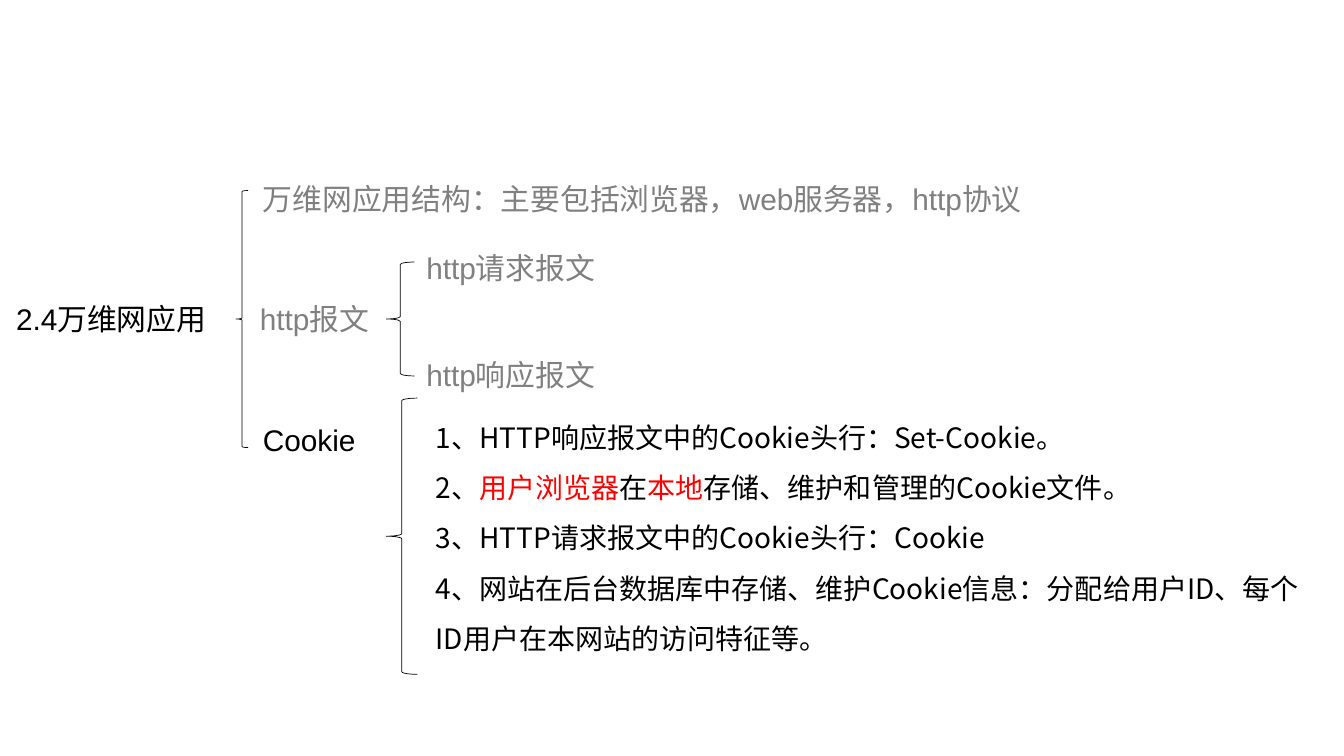
from dataclasses import dataclass

from lxml import etree
from pptx import Presentation
from pptx.dml.color import RGBColor
from pptx.enum.lang import MSO_LANGUAGE_ID
from pptx.enum.shapes import MSO_SHAPE
from pptx.enum.text import MSO_ANCHOR, MSO_AUTO_SIZE, PP_ALIGN
from pptx.oxml.ns import qn
from pptx.util import Inches, Pt

LEFT_BRACE = MSO_SHAPE.LEFT_BRACE
TOP = MSO_ANCHOR.TOP
LEFT = PP_ALIGN.LEFT
NO_AUTOFIT = MSO_AUTO_SIZE.NONE
CHINESE = MSO_LANGUAGE_ID.SIMPLIFIED_CHINESE


@dataclass(frozen=True)
class Theme:
    black: RGBColor = RGBColor(0, 0, 0)
    gray: RGBColor = RGBColor(0x80, 0x80, 0x80)
    red: RGBColor = RGBColor(0xFF, 0, 0)
    label_font: str = "Arial"
    list_font: str = "Noto Sans CJK SC"
    label_size: float = 21.3
    list_size: float = 20
    line_width: float = 0.5


class Outline:
    """Draws the parts of a bracketed outline on one slide."""

    def __init__(self, slide, theme):
        self.s = slide
        self.theme = theme

    def place(self, sp, box):
        names = ("left", "top", "width", "height")
        for name, value in zip(names, box):
            setattr(sp, name, Inches(value))
        frame = {"word_wrap": True, "auto_size": NO_AUTOFIT,
                 "vertical_anchor": TOP}
        for name, value in frame.items():
            setattr(sp.text_frame, name, value)

    def fill_paragraph(self, p, runs, font, size, **spacing):
        """Fill a paragraph with (text, colour) runs."""
        layout = {"alignment": LEFT, "space_before": Pt(0), **spacing}
        for name, value in layout.items():
            setattr(p, name, value)
        style = {"name": font, "size": Pt(size), "language_id": CHINESE}
        for text, color in runs:
            r = p.add_run()
            r.text = text
            for name, value in style.items():
                setattr(r.font, name, value)
            r.font.color.rgb = color

    def label(self, sp, box, lines, color, gap=0):
        """Set label lines; gap is the space in points between them."""
        self.place(sp, box)
        tf = sp.text_frame
        for i, line in enumerate(lines):
            p = tf.add_paragraph() if i else tf.paragraphs[0]
            self.fill_paragraph(p, [(line, color)], self.theme.label_font,
                                self.theme.label_size,
                                space_before=Pt(gap if i else 0))

    def title(self, box, text):
        self.label(self.s.shapes.title, box, [text], self.theme.black)

    def text(self, box, lines, color, gap=0):
        sp = self.s.shapes.add_textbox(0, 0, 0, 0)
        self.label(sp, box, lines, color, gap)

    def numbered_list(self, box, items):
        sp = self.s.placeholders[1]
        self.place(sp, box)
        tf = sp.text_frame
        for i, runs in enumerate(items):
            p = tf.add_paragraph() if i else tf.paragraphs[0]
            self.fill_paragraph(p, runs, self.theme.list_font,
                                self.theme.list_size, line_spacing=1.5)
            pPr = p._p.get_or_add_pPr()
            pPr.set("marL", "0")
            pPr.set("indent", "0")
            etree.SubElement(pPr, qn("a:buNone"))

    def brace(self, box):
        sp = self.s.shapes.add_shape(LEFT_BRACE, *map(Inches, box))
        sp.shadow.inherit = False
        sp.fill.background()
        sp.line.color.rgb = self.theme.black
        sp.line.width = Pt(self.theme.line_width)


def main():
    prs = Presentation()
    prs.slide_width, prs.slide_height = Inches(13.33), Inches(7.5)
    theme = Theme()
    black, gray, red = theme.black, theme.gray, theme.red
    outline = Outline(prs.slides.add_slide(prs.slide_layouts[1]), theme)

    outline.title((0.06, 2.93, 2.3, 0.46), "2.4万维网应用")
    for box in ((2.34, 1.89, 0.12, 2.55), (3.83, 2.6, 0.28, 1.13),
                (3.83, 3.95, 0.31, 2.74)):
        outline.brace(box)

    outline.text((2.51, 1.74, 9.05, 0.46),
                 ["万维网应用结构：主要包括浏览器，web服务器，http协议"], gray)
    outline.text((2.48, 2.93, 1.4, 0.46), ["http报文"], gray)
    outline.text((4.13, 2.43, 3.52, 1.53),
                 ["http请求报文", "http响应报文"], gray, gap=51)
    outline.text((2.51, 4.13, 1.3, 0.46), ["Cookie"], black)

    outline.numbered_list((4.22, 3.95, 8.86, 2.63), [
        [("1、HTTP响应报文中的Cookie头行：Set-Cookie。", black)],
        [("2、", black), ("用户浏览器", red), ("在", black), ("本地", red),
         ("存储、维护和管理的Cookie文件。", black)],
        [("3、HTTP请求报文中的Cookie头行：Cookie", black)],
        [("4、网站在后台数据库中存储、维护Cookie信息：分配给用户ID、"
          "每个ID用户在本网站的访问特征等。", black)],
    ])
    prs.save("out.pptx")


if __name__ == "__main__":
    main()
